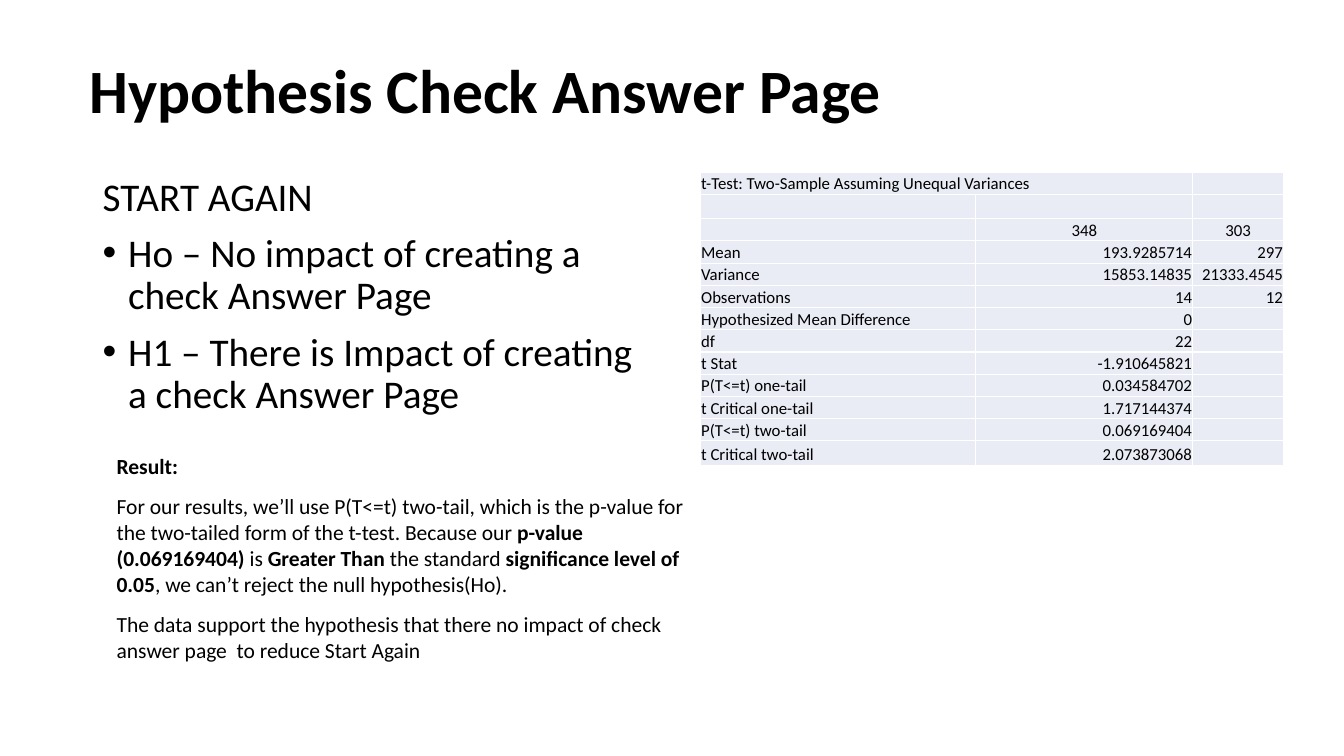
"""Build the hypothesis check slide with its t-test table and result text."""
from dataclasses import dataclass

from lxml import etree
from pptx import Presentation
from pptx import util as u
from pptx.dml import color
from pptx.enum import text
from pptx.oxml import ns

COLORS = {"ink": "000000", "cell": "E9EBF5", "border": "FFFFFF"}
FONT = "Calibri"
ALIGN = text.PP_ALIGN


@dataclass(frozen=True)
class Span:
    words: str
    bold: bool = False


@dataclass(frozen=True)
class Para:
    spans: tuple[Span, ...]
    bullet: bool = False


@dataclass(frozen=True)
class Box:
    left: float
    top: float
    width: float
    height: float
    size: float
    paras: tuple[Para, ...]
    line_spacing: float = 1.0
    space_before: float = 10
    anchor: text.MSO_ANCHOR = text.MSO_ANCHOR.TOP


BOXES = (
    Box(2.0, 0.51, 29.21, 3.68, 44,
        (Para((Span("Hypothesis Check Answer Page ", True),)),),
        0.9, 0, text.MSO_ANCHOR.MIDDLE),
    Box(2.34, 4.34, 13.87, 12.09, 28, (
        Para((Span("START AGAIN"),)),
        Para((Span("Ho – No impact of creating a check Answer Page"),), True),
        Para((Span("H1 – There is Impact of creating a check Answer Page"),), True),
    ), 0.9),
    Box(2.69, 11.3, 14.99, 5.61, 15.4, (
        Para((Span("Result:", True),)),
        Para((
            Span("For our results, we’ll use P(T<=t) two-tail, which is the p-value "
                 "for the two-tailed form of the t-test. Because our "),
            Span("p-value (0.069169404) ", True),
            Span("is "),
            Span("Greater Than ", True),
            Span("the standard "),
            Span("significance level of 0.05", True),
            Span(", we can’t reject the null hypothesis(Ho). "),
        )),
        Para((Span("The data support the hypothesis that there no impact of check "
                   "answer page  to reduce Start Again"),)),
    )),
)

T_TEST = (
    ("t-Test: Two-Sample Assuming Unequal Variances", "", ""),
    ("", "", ""),
    ("", "348", "303"),
    ("Mean", "193.9285714", "297"),
    ("Variance", "15853.14835", "21333.4545"),
    ("Observations", "14", "12"),
    ("Hypothesized Mean Difference", "0", ""),
    ("df", "22", ""),
    ("t Stat", "-1.910645821", ""),
    ("P(T<=t) one-tail", "0.034584702", ""),
    ("t Critical one-tail", "1.717144374", ""),
    ("P(T<=t) two-tail", "0.069169404", ""),
    ("t Critical two-tail", "2.073873068", ""),
)
HEADING_ROW = 2
TALL_ROWS = (1, len(T_TEST) - 1)
COLUMN_WIDTHS = (6.94, 5.47, 2.29)


def add_span(para, span: Span, size: float) -> None:
    run = para.add_run()
    run.text = span.words
    run.font.name = FONT
    run.font.size = u.Pt(size)
    run.font.bold = span.bold
    run.font.color.rgb = color.RGBColor.from_string(COLORS["ink"])


def add_bullet(para) -> None:
    props = para._p.get_or_add_pPr()
    indent = u.Cm(0.64)
    props.set("marL", str(indent))
    props.set("indent", str(-indent))
    etree.SubElement(props, ns.qn("a:buFont"), typeface="Arial")
    etree.SubElement(props, ns.qn("a:buChar"), char="•")


def add_box(page, box: Box) -> None:
    shape = page.shapes.add_textbox(
        u.Cm(box.left), u.Cm(box.top), u.Cm(box.width), u.Cm(box.height))
    frame = shape.text_frame
    frame.word_wrap = True
    frame.vertical_anchor = box.anchor
    for index, item in enumerate(box.paras):
        para = frame.add_paragraph() if index else frame.paragraphs[0]
        para.line_spacing = box.line_spacing
        para.space_before = u.Pt(box.space_before)
        if item.bullet:
            add_bullet(para)
        for span in item.spans:
            add_span(para, span, box.size)


def style_cell(cell) -> None:
    cell.margin_left = cell.margin_right = cell.margin_top = u.Cm(0.02)
    cell.margin_bottom = u.Cm(0)
    cell.vertical_anchor = text.MSO_ANCHOR.BOTTOM
    props = cell._tc.get_or_add_tcPr()
    for side in ("lnL", "lnR", "lnT", "lnB"):
        line = etree.SubElement(props, ns.qn(f"a:{side}"), w=str(u.Pt(1)))
        fill = etree.SubElement(line, ns.qn("a:solidFill"))
        etree.SubElement(fill, ns.qn("a:srgbClr"), val=COLORS["border"])
    cell.fill.solid()
    cell.fill.fore_color.rgb = color.RGBColor.from_string(COLORS["cell"])


def fill_cell(cell, words: str, align: text.PP_ALIGN) -> None:
    style_cell(cell)
    para = cell.text_frame.paragraphs[0]
    para.alignment = align
    if words:
        add_span(para, Span(words), 12)
    else:
        etree.SubElement(para._p, ns.qn("a:endParaRPr"), sz="1200")


def add_t_test(page) -> None:
    table = page.shapes.add_table(
        len(T_TEST), len(COLUMN_WIDTHS), u.Cm(17.65), u.Cm(4.34),
        u.Cm(sum(COLUMN_WIDTHS)), u.Cm(7.4)).table
    table.first_row = table.horz_banding = False
    for column, width in zip(table.columns, COLUMN_WIDTHS):
        column.width = u.Cm(width)
    for r, values in enumerate(T_TEST):
        table.rows[r].height = u.Cm(0.61 if r in TALL_ROWS else 0.56)
        number_align = ALIGN.CENTER if r == HEADING_ROW else ALIGN.RIGHT
        for c, words in enumerate(values):
            fill_cell(table.cell(r, c), words, number_align if c else ALIGN.LEFT)
    table.cell(0, 0).merge(table.cell(0, 1))


def main() -> None:
    deck = Presentation()
    deck.slide_width, deck.slide_height = u.Cm(33.87), u.Cm(19.05)
    page = deck.slides.add_slide(deck.slide_layouts[6])
    title, *bodies = BOXES
    add_box(page, title)
    add_t_test(page)
    for box in bodies:
        add_box(page, box)
    deck.save("out.pptx")


main()
